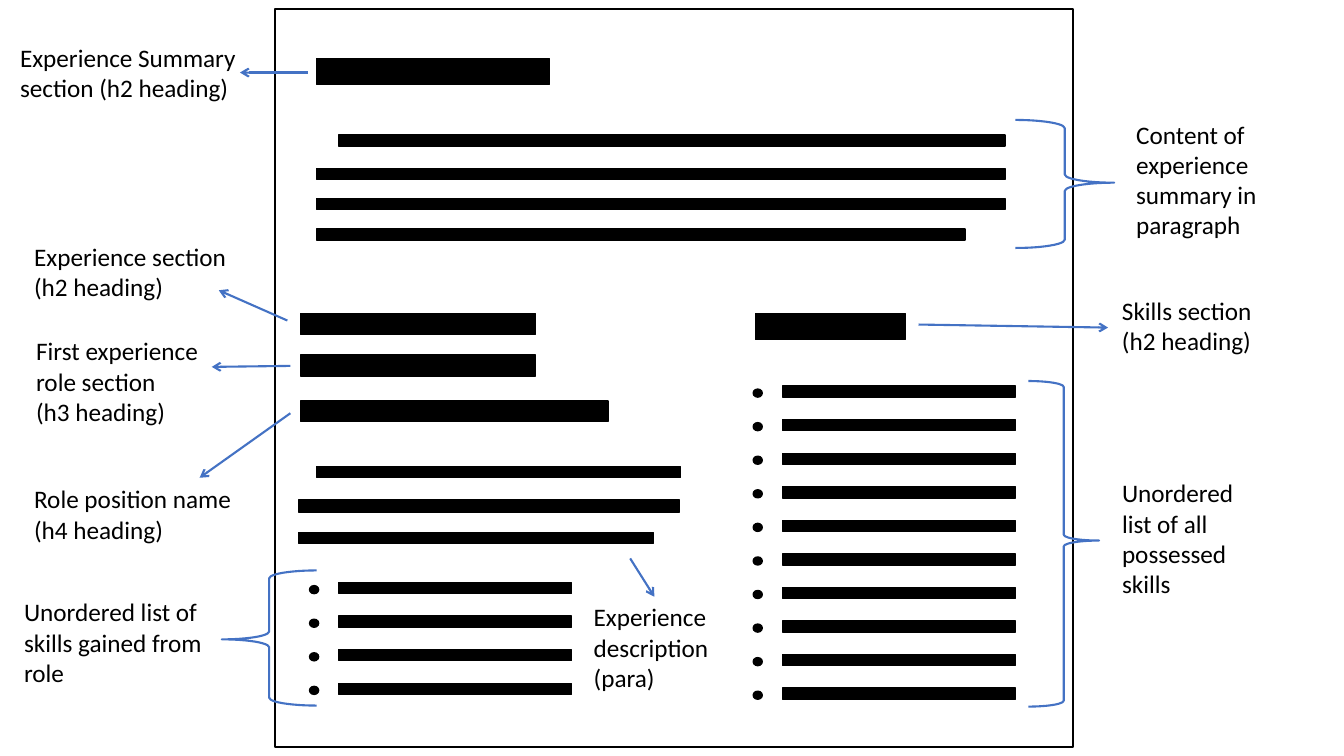
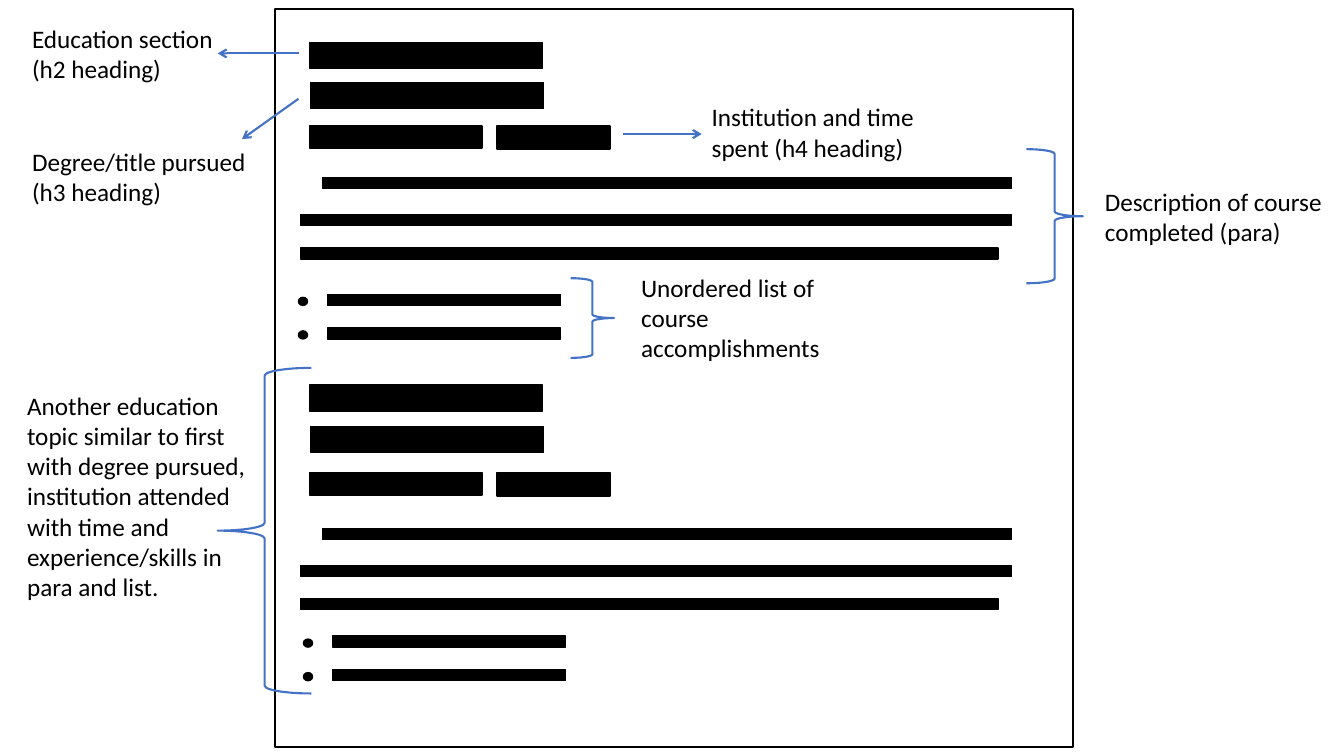
from lxml import etree
from pptx import Presentation
from pptx.dml.color import RGBColor
from pptx.enum.shapes import MSO_CONNECTOR, MSO_SHAPE
from pptx.enum.text import MSO_AUTO_SIZE
from pptx.oxml.ns import qn
from pptx.util import Inches, Pt

RECT, DOT, BRACE = MSO_SHAPE.RECTANGLE, MSO_SHAPE.OVAL, MSO_SHAPE.LEFT_BRACE
STRAIGHT = MSO_CONNECTOR.STRAIGHT
FIT_TEXT = MSO_AUTO_SIZE.SHAPE_TO_FIT_TEXT

BLACK, BLUE = "000000", "4472C4"
FONT, TEXT_SIZE = "Calibri", 18
PAGE_FRAME = (2.73, 0.09, 7.91, 7.32)
HEADING_H, LINE_H = 0.26, 0.11
ITEM_W, ITEM_STEP = 2.31, 0.333
DOT_W, DOT_H, DOT_DX, DOT_DY = 0.09, 0.08, -0.29, 0.03


def rgb(value):
    """Turn a hex string into a colour."""
    return RGBColor.from_string(value)


def draw(s, kind, box, fill=None, line=BLACK, width=1):
    """Add a flat shape; box is left, top, width, height in inches."""
    sp = s.shapes.add_shape(kind, *(Inches(v) for v in box))
    sp.shadow.inherit = False
    if fill:
        sp.fill.solid()
        sp.fill.fore_color.rgb = rgb(fill)
    else:
        sp.fill.background()
    sp.line.color.rgb = rgb(line)
    sp.line.width = Pt(width)
    return sp


# bars: left, top, width, height
# lists: left, top of first item, number of items
# braces: box, rotation, position of the point along the brace
# arrows: start x, y, end x, y
# labels: box, paragraphs
experience = {
    "bars": [
        (3.14, 0.58, 2.31, HEADING_H),
        (3.36, 1.34, 6.61, LINE_H),
        (3.14, 1.67, 6.83, LINE_H),
        (3.14, 1.97, 6.83, LINE_H),
        (3.14, 2.27, 6.43, LINE_H),
        (7.49, 3.11, 1.49, HEADING_H),
        (2.98, 3.11, 2.33, 0.21),
        (2.98, 3.52, 2.33, 0.21),
        (2.98, 3.98, 3.05, 0.2),
        (3.14, 4.63, 3.61, LINE_H),
        (2.96, 4.96, 3.78, 0.12),
        (2.96, 5.28, 3.52, LINE_H),
    ],
    "lists": [(7.76, 3.83, 10), (3.36, 5.78, 4)],
    "braces": [
        ((10.07, 1.19, 0.98, 1.27), 180, 0.51),
        ((10.2, 3.78, 0.7, 3.23), 180, 0.51),
        ((2.2, 5.66, 0.94, 1.34), 0, 0.51),
    ],
    "arrows": [
        (3.05, 0.72, 2.38, 0.72),
        (2.85, 3.18, 2.17, 2.88),
        (9.11, 3.22, 10.99, 3.25),
        (2.88, 3.63, 2.1, 3.64),
        (2.88, 4.1, 1.98, 4.74),
        (6.25, 5.54, 6.49, 5.92),
    ],
    "labels": [
        ((0.1, 0.37, 2.62, 0.71), ["Experience Summary section (h2 heading)"]),
        ((11.17, 1.13, 1.43, 1.31), ["Content of experience summary in paragraph"]),
        ((0.24, 2.34, 2.16, 0.71), ["Experience section", "(h2 heading)"]),
        ((11.03, 2.88, 1.66, 0.71), ["Skills section", "(h2 heading)"]),
        ((11.03, 4.69, 1.61, 1.31), ["Unordered list of all possessed skills"]),
        ((0.26, 3.28, 1.89, 1.01), ["First experience role section", "(h3 heading)"]),
        ((0.24, 4.75, 2.16, 0.71), ["Role position name", "(h4 heading)"]),
        ((0.14, 5.87, 2.16, 1.01), ["Unordered list of skills gained from role"]),
        ((5.79, 5.92, 1.4, 1.01), ["Experience description (para)"]),
    ],
}

education = {
    "bars": [],
    "lists": [(3.25, 2.92, 2), (3.3, 6.31, 2)],
    "braces": [
        ((2.16, 3.65, 0.93, 3.23), 0, 0.5),
        ((10.18, 1.48, 0.56, 1.33), 180, 0.5),
        ((5.66, 2.76, 0.43, 0.79), 180, 0.5),
    ],
    "arrows": [
        (2.97, 0.53, 2.16, 0.53),
        (6.18, 1.33, 6.96, 1.33),
        (2.96, 0.98, 2.4, 1.38),
    ],
    "labels": [
        ((0.17, 3.82, 2.38, 2.22),
         ["Another education topic similar to first with degree pursued, "
          "institution attended with time and experience/skills in para and list."]),
        ((0.22, 0.18, 2.16, 0.71), ["Education section", "(h2 heading)"]),
        ((6.96, 0.96, 2.58, 0.71), ["Institution and time spent (h4 heading)"]),
        ((0.22, 1.4, 2.41, 0.71), ["Degree/title pursued", "(h3 heading)"]),
        ((10.86, 1.8, 2.47, 0.71), ["Description of course completed (para)"]),
        ((6.26, 2.65, 2.02, 1.01), ["Unordered list of course accomplishments"]),
    ],
}
# Both education topics: two headings, institution and time, three lines of text
for section_y, degree_y, school_y, text_y in [(0.42, 0.82, 1.25, 1.76),
                                              (3.82, 4.23, 4.69, 5.24)]:
    education["bars"] += [
        (3.07, section_y, 2.31, HEADING_H),
        (3.08, degree_y, 2.31, HEADING_H),
        (3.07, school_y, 1.71, 0.22),
        (4.93, school_y, 1.12, 0.23),
        (3.2, text_y, 6.83, LINE_H),
        (2.98, text_y + 0.37, 7.05, LINE_H),
        (2.98, text_y + 0.7, 6.92, LINE_H),
    ]

prs = Presentation()
prs.slide_width, prs.slide_height = Inches(13.33), Inches(7.5)

for content in (experience, education):
    s = prs.slides.add_slide(prs.slide_layouts[6])
    draw(s, RECT, PAGE_FRAME, width=1.5)

    for bar in content["bars"]:
        draw(s, RECT, bar, BLACK)

    for left, top, count in content["lists"]:
        for i in range(count):
            y = top + i * ITEM_STEP
            draw(s, DOT, (left + DOT_DX, y + DOT_DY, DOT_W, DOT_H), BLACK)
            draw(s, RECT, (left, y, ITEM_W, LINE_H), BLACK)

    for box, rotation, point in content["braces"]:
        sp = draw(s, BRACE, box, line=BLUE, width=1.5)
        sp.rotation = rotation
        sp.adjustments[1] = point

    for ends in content["arrows"]:
        arrow = s.shapes.add_connector(STRAIGHT, *(Inches(v) for v in ends))
        arrow.line.color.rgb = rgb(BLUE)
        arrow.line.width = Pt(1.5)
        etree.SubElement(arrow.line._get_or_add_ln(), qn("a:tailEnd"), type="arrow")
        etree.SubElement(arrow._element.spPr, qn("a:effectLst"))

    for box, paragraphs in content["labels"]:
        tf = s.shapes.add_textbox(*(Inches(v) for v in box)).text_frame
        tf.word_wrap = True
        tf.auto_size = FIT_TEXT
        tf.text = "\n".join(paragraphs)
        for p in tf.paragraphs:
            p.font.name = FONT
            p.font.size = Pt(TEXT_SIZE)
            p.font.color.rgb = rgb(BLACK)

prs.save("out.pptx")
